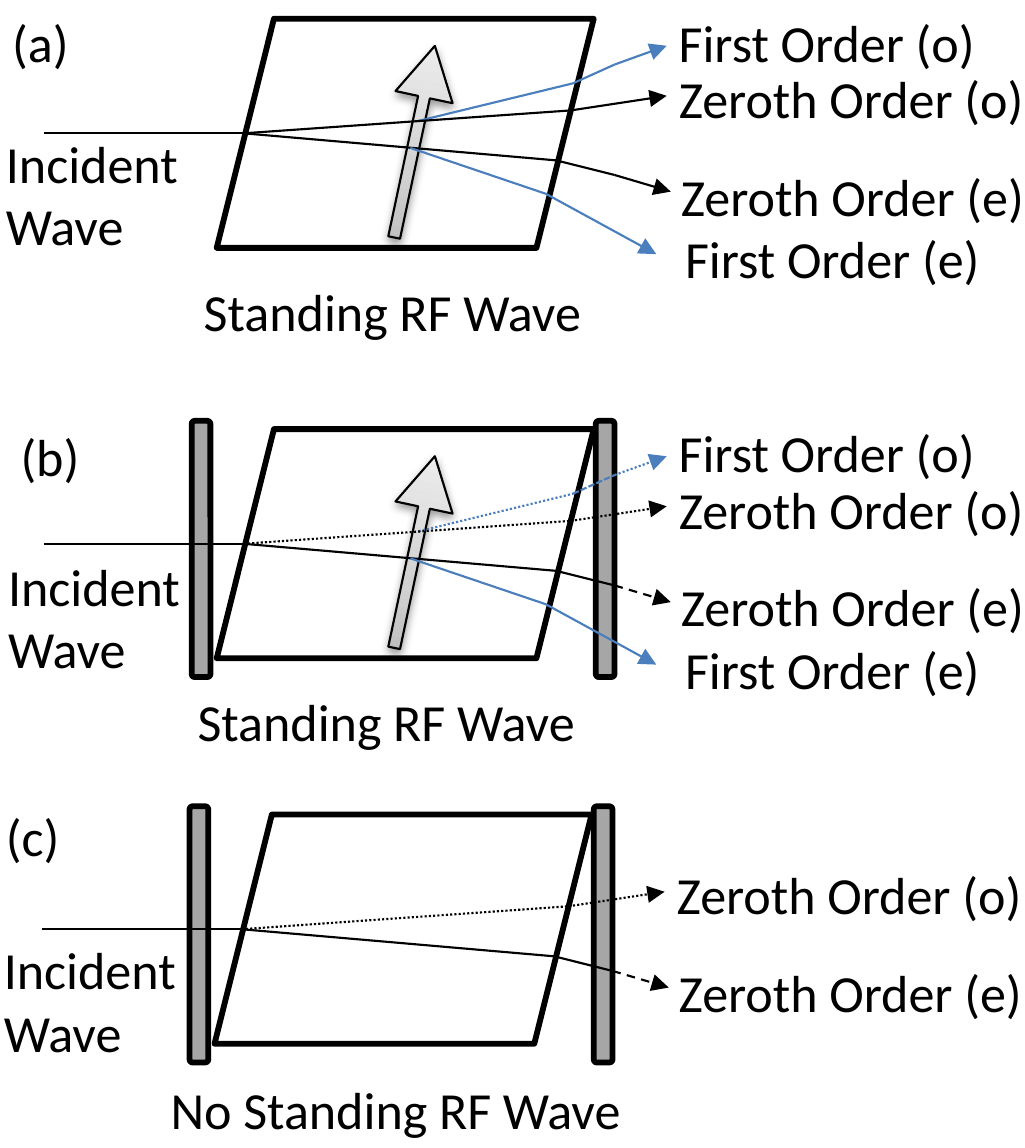
from dataclasses import dataclass

import lxml.etree
import pptx
import pptx.dml.color
import pptx.enum.dml
import pptx.enum.shapes
import pptx.enum.text
import pptx.oxml.ns
import pptx.util

Inches = pptx.util.Inches
SHAPES = pptx.enum.shapes.MSO_SHAPE
DASHES = pptx.enum.dml.MSO_LINE


@dataclass(frozen=True)
class Theme:
    font: str = "Calibri"
    text_size: float = 18
    ink: str = "000000"
    crystal: str = "FFFFFF"
    plate: str = "A6A6A6"
    first_order: str = "4B7EBC"
    wave_stops: tuple = ((0, "BDBDBD"), (35, "D1D1D1"), (100, "EEEEEE"))
    outline: float = 2
    thin: float = 0.75


def rgb(value):
    return pptx.dml.color.RGBColor.from_string(value)


def add_xml(parent, tag, **attributes):
    return lxml.etree.SubElement(parent, pptx.oxml.ns.qn(tag), attributes)


class Diagram:
    """Draws elements on the slide, relative to a movable origin."""

    def __init__(self, slide, theme):
        self.slide, self.theme = slide, theme
        self.origin = (0, 0)

    def place(self, x, y):
        return Inches(x + self.origin[0]), Inches(y + self.origin[1])

    def shape(self, kind, x, y, width, height, fill, line_width):
        shape = self.slide.shapes.add_shape(
            kind, *self.place(x, y), Inches(width), Inches(height))
        shape.shadow.inherit = False
        if fill:
            shape.fill.solid()
            shape.fill.fore_color.rgb = rgb(fill)
        shape.line.color.rgb = rgb(self.theme.ink)
        shape.line.width = pptx.util.Pt(line_width)
        return shape

    def plate(self, x):
        self.shape(SHAPES.ROUNDED_RECTANGLE, x, 0.05, 0.09, 1.23,
                   self.theme.plate, self.theme.outline)

    def crystal(self):
        self.shape(SHAPES.PARALLELOGRAM, 1.04, 0.09, 1.81, 1.1,
                   self.theme.crystal, self.theme.outline)

    def standing_wave(self):
        arrow = self.shape(SHAPES.UP_ARROW, 1.85, 0.21, 0.28, 0.94,
                           None, self.theme.thin)
        arrow.rotation = 12
        arrow.adjustments[0], arrow.adjustments[1] = 0.205, 0.899
        # Three-stop gradient, light at the top
        arrow.fill.gradient()
        arrow.fill.gradient_angle = 90
        properties = arrow._element.spPr
        stops = properties.find(".//" + pptx.oxml.ns.qn("a:gsLst"))
        for stop in list(stops):
            stops.remove(stop)
        for position, colour in self.theme.wave_stops:
            stop = add_xml(stops, "a:gs", pos=str(position * 1000))
            add_xml(stop, "a:srgbClr", val=colour)
        # Soft shadow below
        effects = properties.find(pptx.oxml.ns.qn("a:effectLst"))
        shadow = add_xml(effects, "a:outerShdw",
                         blurRad=str(pptx.util.Pt(3.1)),
                         dist=str(pptx.util.Pt(1.6)),
                         dir="5400000", rotWithShape="0")
        shade = add_xml(shadow, "a:srgbClr", val=self.theme.ink)
        add_xml(shade, "a:alpha", val="38000")

    def label(self, text, x, y, width, height=0.4, wrap=False):
        box = self.slide.shapes.add_textbox(
            *self.place(x, y), Inches(width), Inches(height))
        frame = box.text_frame
        frame.word_wrap = wrap
        frame.auto_size = pptx.enum.text.MSO_AUTO_SIZE.SHAPE_TO_FIT_TEXT
        frame.text = text
        font = frame.paragraphs[0].font
        font.name = self.theme.font
        font.size = pptx.util.Pt(self.theme.text_size)
        font.color.rgb = rgb(self.theme.ink)

    def ray(self, start, end, colour, dash=None, arrowhead=False):
        ray = self.slide.shapes.add_connector(
            pptx.enum.shapes.MSO_CONNECTOR.STRAIGHT,
            *self.place(*start), *self.place(*end))
        ray.line.color.rgb = rgb(colour)
        ray.line.width = pptx.util.Pt(self.theme.thin)
        if dash:
            ray.line.dash_style = dash
        if arrowhead:
            add_xml(ray.line._get_or_add_ln(), "a:tailEnd", type="triangle")
        add_xml(ray._element.spPr, "a:effectLst")

    def beam(self, points, colour, dashes):
        segments = list(zip(points, points[1:]))
        for number, (start, end) in enumerate(segments, 1):
            self.ray(start, end, colour, dashes[number - 1],
                     arrowhead=number == len(segments))


THEME = Theme()
ENTRY = (1.17, 0.64)
SOLID = (None, None, None)
DOTTED = (DASHES.ROUND_DOT,) * 3
MIXED = (DASHES.ROUND_DOT, DASHES.SQUARE_DOT, DASHES.ROUND_DOT)
BLOCKED = (None, None, DASHES.DASH)

# Output beams: label, label place and width, colour, path
ORDERS = {
    "o1": ("First Order (o)", (3.16, 0, 1.64), THEME.first_order,
           [(2.01, 0.58), (2.75, 0.4), (2.95, 0.31), (3.2, 0.22)]),
    "o0": ("Zeroth Order (o)", (3.16, 0.27, 1.88), THEME.ink,
           [ENTRY, (2.74, 0.53), (3.2, 0.46)]),
    "e0": ("Zeroth Order (e)", (3.17, 0.74, 1.87), THEME.ink,
           [ENTRY, (2.67, 0.77), (2.95, 0.84), (3.22, 0.92)]),
    "e1": ("First Order (e)", (3.19, 1.04, 1.63), THEME.first_order,
           [(1.97, 0.71), (2.62, 0.93), (3.15, 1.22)]),
}

# Panels: origin, tag place, incident label place, caption, beam dashes
PANELS = [
    dict(origin=(0, 0), tag=("(a)", -0.04, 0), incident=(-0.07, 0.58),
         caption=("Standing RF Wave", 0.88, 1.29, 2.03),
         plates=False, wave=True,
         beams=dict(o1=SOLID, o0=SOLID, e0=SOLID, e1=SOLID)),
    dict(origin=(0, 1.97), tag=("(b)", 0, 0.02), incident=(-0.06, 0.64),
         caption=("Standing RF Wave", 0.85, 1.29, 2.03),
         plates=True, wave=True,
         beams=dict(o1=MIXED, o0=DOTTED, e0=BLOCKED, e1=SOLID)),
    dict(origin=(-0.01, 3.82), tag=("(c)", -0.06, -0.01),
         incident=(-0.07, 0.63),
         caption=("No Standing RF Wave", 0.73, 1.3, 2.39),
         plates=True, wave=False,
         beams=dict(o0=DOTTED, e0=BLOCKED)),
]


def draw_panel(diagram, panel):
    diagram.origin = panel["origin"]
    # Plates, crystal and acoustic wave
    if panel["plates"]:
        for x in (0.92, 2.86):
            diagram.plate(x)
    diagram.crystal()
    if panel["wave"]:
        diagram.standing_wave()
    # Incident and output beams
    diagram.ray((0.21, 0.64), ENTRY, THEME.ink)
    for order, dashes in panel["beams"].items():
        text, place, colour, path_points = ORDERS[order]
        diagram.beam(path_points, colour, dashes)
        diagram.label(text, *place)
    # Panel wording
    diagram.label(*panel["caption"])
    diagram.label("Incident Wave", *panel["incident"], 1.08, 0.71, wrap=True)
    diagram.label(*panel["tag"], 1.08, wrap=True)


def main():
    presentation = pptx.Presentation()
    presentation.slide_width = Inches(4.92)
    presentation.slide_height = Inches(5.51)
    slide = presentation.slides.add_slide(presentation.slide_layouts[6])
    diagram = Diagram(slide, THEME)
    for panel in PANELS:
        draw_panel(diagram, panel)
    presentation.save("out.pptx")


if __name__ == "__main__":
    main()
